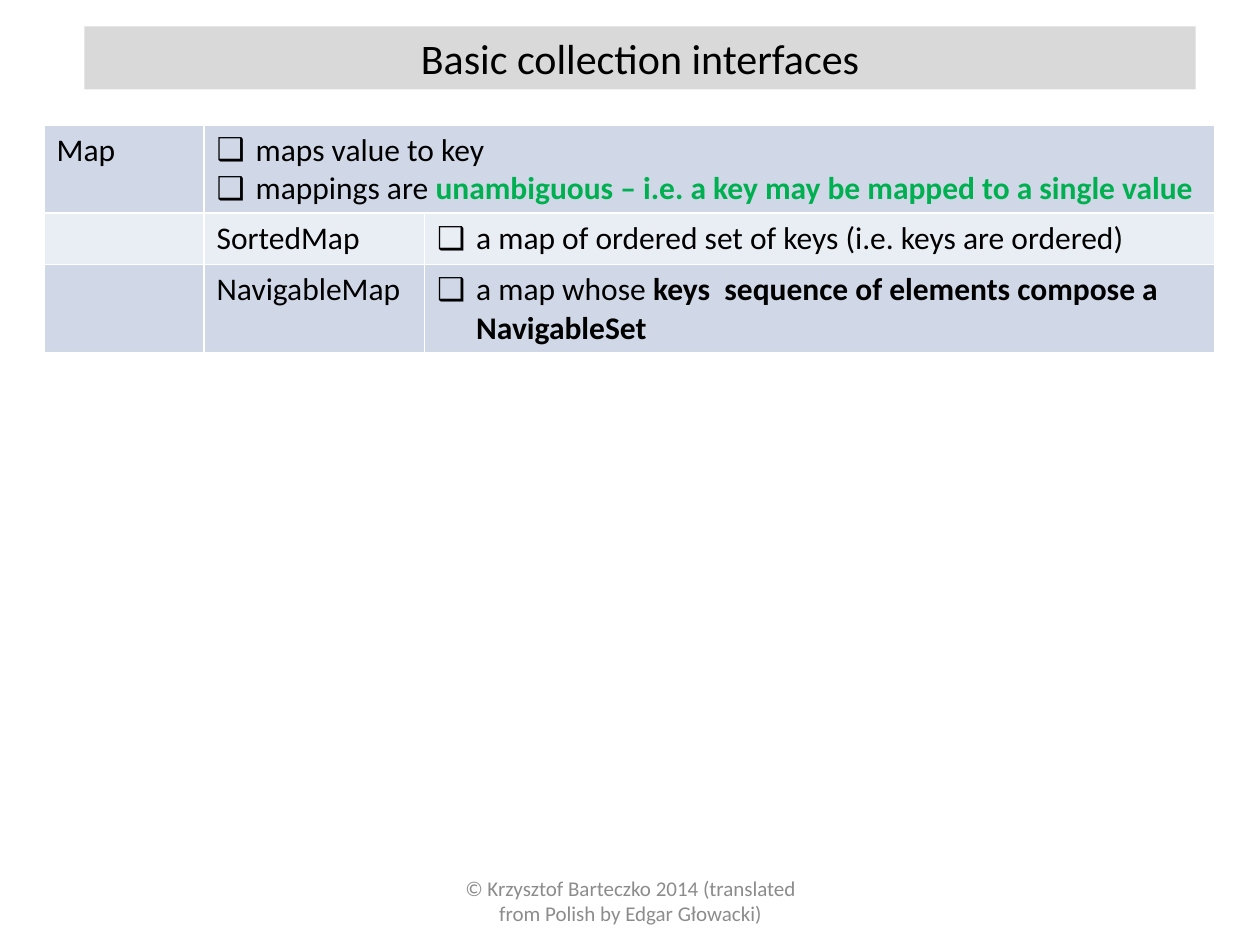
from lxml.etree import SubElement
from pptx import Presentation
from pptx.dml.color import RGBColor
from pptx.enum.text import MSO_ANCHOR, MSO_AUTO_SIZE, PP_ALIGN
from pptx.oxml import parse_xml
from pptx.oxml.ns import nsdecls, qn
from pptx.util import Inches, Pt

FONT = "Calibri"
COLORS = {
    "text": "000000", "accent": "00B050", "footer": "8C8C8C", "title_bar": "D9D9D9",
    "band_dark": "D0D8E8", "band_light": "E9EDF4", "border": "FFFFFF",
}
TITLE = "Basic collection interfaces"
FOOTER = "© Krzysztof Barteczko 2014 (translated from Polish by Edgar Głowacki)"

# Each bullet is a list of (text, color, bold) pieces.
MAP_POINTS = [
    [("maps value to key", "text", False)],
    [("mappings are ", "text", False),
     ("unambiguous – i.e. a key may be mapped to a single value", "accent", True)],
]
SORTED_POINTS = [[("a map of ordered set of keys (i.e. keys are ordered)", "text", False)]]
NAVIGABLE_POINTS = [
    [("a map whose ", "text", False),
     ("keys  sequence of elements compose a NavigableSet", "text", True)],
]
INTERFACES = [
    ("Map", 0, MAP_POINTS),
    ("SortedMap", 1, SORTED_POINTS),
    ("NavigableMap", 1, NAVIGABLE_POINTS),
]
COLUMN_WIDTHS = [1.27, 1.75, 6.27]
ROW_HEIGHTS = [0.7, 0.41, 0.7]


def rgb(name):
    return RGBColor.from_string(COLORS[name])


def style_run(run, size, color="text", bold=False):
    run.font.name, run.font.size, run.font.bold = FONT, Pt(size), bold
    run.font.color.rgb = rgb(color)


def write_line(frame, text, size, color):
    frame.text = text
    frame.word_wrap = True
    line = frame.paragraphs[0]
    line.alignment = PP_ALIGN.CENTER
    style_run(line.runs[0], size, color)


def write_points(frame, points):
    for index, pieces in enumerate(points):
        point = frame.add_paragraph() if index else frame.paragraphs[0]
        props = point._p.get_or_add_pPr()
        props.set("marL", str(Inches(0.31)))
        props.set("indent", str(-Inches(0.31)))
        SubElement(props, qn("a:buFont"), typeface=FONT)
        SubElement(props, qn("a:buChar"), char="❑")
        for text, color, bold in pieces:
            run = point.add_run()
            run.text = text
            style_run(run, 18, color, bold)


def add_borders(cell):
    props = cell._tc.get_or_add_tcPr()
    for position, side in enumerate(("lnL", "lnR", "lnT", "lnB")):
        props.insert(position, parse_xml(
            f'<a:{side} {nsdecls("a")} w="{Pt(1)}"><a:solidFill>'
            f'<a:srgbClr val="{COLORS["border"]}"/></a:solidFill></a:{side}>'))


def add_title(slide):
    title = slide.shapes.title
    title.left, title.top = Inches(0.67), Inches(0.21)
    title.width, title.height = Inches(8.82), Inches(0.5)
    title.fill.solid()
    title.fill.fore_color.rgb = rgb("title_bar")
    write_line(title.text_frame, TITLE, 24, "text")
    title.text_frame.auto_size = MSO_AUTO_SIZE.NONE
    title.text_frame.vertical_anchor = MSO_ANCHOR.TOP


def add_footer(slide):
    footer = slide.shapes.add_textbox(Inches(3.42), Inches(6.95), Inches(3.17), Inches(0.4))
    write_line(footer.text_frame, FOOTER, 12, "footer")
    footer.text_frame.vertical_anchor = MSO_ANCHOR.MIDDLE


def add_interface_table(slide):
    table = slide.shapes.add_table(
        len(INTERFACES), len(COLUMN_WIDTHS), Inches(0.35), Inches(0.99),
        Inches(sum(COLUMN_WIDTHS)), Inches(sum(ROW_HEIGHTS))).table
    table.first_row = False
    for column, width in zip(table.columns, COLUMN_WIDTHS):
        column.width = Inches(width)
    for row, height in zip(table.rows, ROW_HEIGHTS):
        row.height = Inches(height)
    for index, (interface, level, points) in enumerate(INTERFACES):
        for column in range(len(COLUMN_WIDTHS)):
            cell = table.cell(index, column)
            cell.fill.solid()
            cell.fill.fore_color.rgb = rgb("band_light" if index % 2 else "band_dark")
            add_borders(cell)
        name_cell = table.cell(index, level)
        name_cell.text = interface
        style_run(name_cell.text_frame.paragraphs[0].runs[0], 18)
        points_cell = table.cell(index, level + 1)
        if level == 0:
            points_cell.merge(table.cell(index, len(COLUMN_WIDTHS) - 1))
        write_points(points_cell.text_frame, points)


def main():
    """Build the slide on the basic collection interfaces."""
    deck = Presentation()
    deck.slide_width, deck.slide_height = Inches(10), Inches(7.5)
    slide = deck.slides.add_slide(deck.slide_layouts[5])
    add_footer(slide)
    add_title(slide)
    add_interface_table(slide)
    deck.save("out.pptx")


if __name__ == "__main__":
    main()
